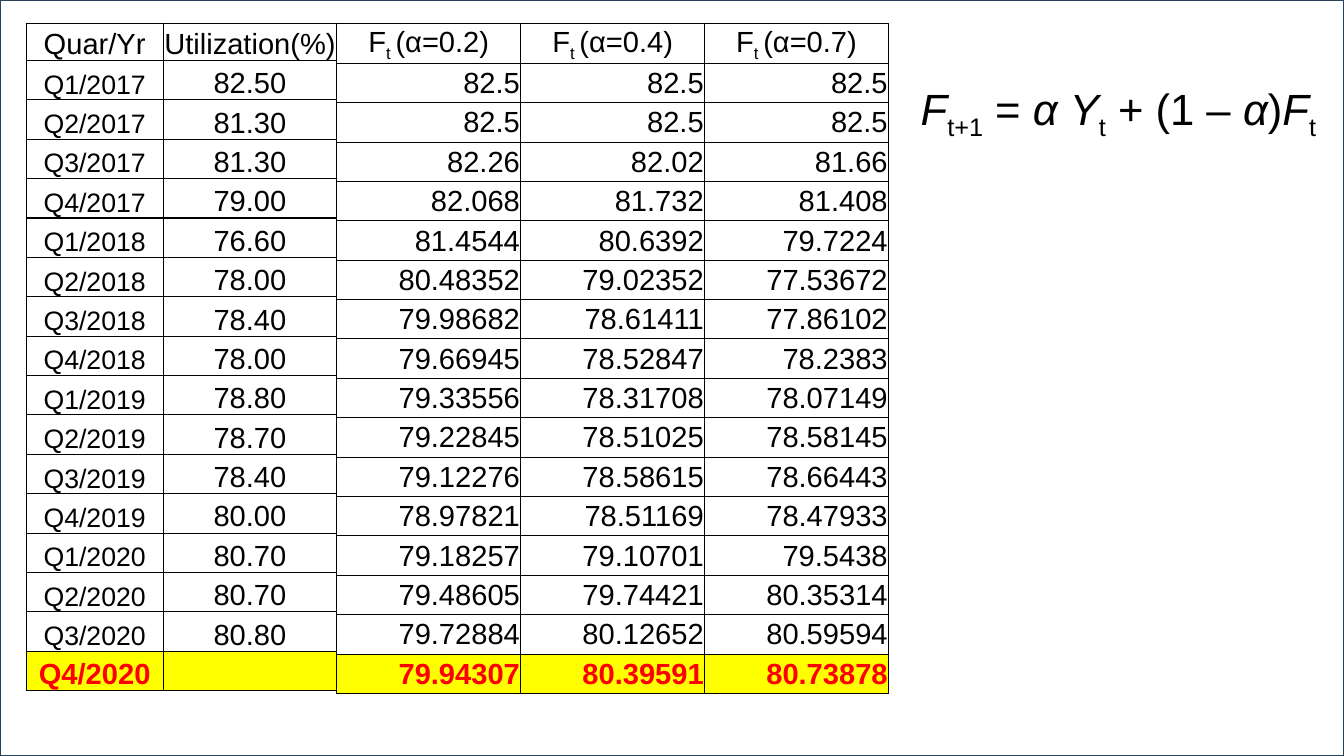
import pptx
import pptx.dml.color
import pptx.enum.shapes
import pptx.enum.text
import pptx.util
import lxml.etree

Pt = pptx.util.Pt
RGBColor = pptx.dml.color.RGBColor
Align = pptx.enum.text.PP_ALIGN
Anchor = pptx.enum.text.MSO_ANCHOR

BLACK = RGBColor(0x00, 0x00, 0x00)
WHITE = RGBColor(0xFF, 0xFF, 0xFF)
RED = RGBColor(0xFF, 0x00, 0x00)
YELLOW = RGBColor(0xFF, 0xFF, 0x00)
NAVY = RGBColor(0x28, 0x44, 0x5D)

WIDTH, HEIGHT = 1108.8, 623.5
TOP, LEFT = 19.4, 21.6
HEAD, ROW = 30.5, 32.5
QUARTERS = 16
LAST = QUARTERS

USAGE = """82.50 81.30 81.30 79.00 76.60 78.00 78.40 78.00 78.80 78.70 78.40
80.00 80.70 80.70 80.80""".split()
FORECASTS = {
    "0.2": """82.5 82.5 82.26 82.068 81.4544 80.48352 79.98682 79.66945 79.33556
        79.22845 79.12276 78.97821 79.18257 79.48605 79.72884 79.94307""",
    "0.4": """82.5 82.5 82.02 81.732 80.6392 79.02352 78.61411 78.52847 78.31708
        78.51025 78.58615 78.51169 79.10701 79.74421 80.12652 80.39591""",
    "0.7": """82.5 82.5 81.66 81.408 79.7224 77.53672 77.86102 78.2383 78.07149
        78.58145 78.66443 78.47933 79.5438 80.35314 80.59594 80.73878""",
}


def write(para, parts, size, color=BLACK, bold=False):
    """Add runs from (text, style) pairs: "i" is italic, "s" is subscript."""
    for text, style in parts:
        run = para.add_run()
        run.text = text
        run.font.name = "Arial"
        run.font.size = Pt(size)
        run.font.color.rgb = color
        run.font.bold = bold
        run.font.italic = "i" in style
        if "s" in style:
            run._r.get_or_add_rPr().set("baseline", "-25000")


def add_grid(left, widths):
    """Add a table with black borders and a yellow last row."""
    frame = slide.shapes.add_table(
        QUARTERS + 1, len(widths), Pt(left), Pt(TOP),
        Pt(sum(widths)), Pt(HEAD + QUARTERS * ROW))
    grid = frame.table
    grid.first_row = grid.horz_banding = False
    for col, width in zip(grid.columns, widths):
        col.width = Pt(width)
    for n, row in enumerate(grid.rows):
        row.height = Pt(ROW if n else HEAD)
        for cell in row.cells:
            cell.margin_left = cell.margin_right = Pt(0)
            cell.margin_top = cell.margin_bottom = Pt(0)
            cell.vertical_anchor = Anchor.BOTTOM
            props = cell._tc.get_or_add_tcPr()
            for side in ("lnL", "lnR", "lnT", "lnB"):
                props.append(pptx.oxml.parse_xml(
                    f'<a:{side} xmlns:a="http://schemas.openxmlformats.org/drawingml/2006/main"'
                    f' w="12700"><a:solidFill><a:srgbClr val="{BLACK}"/></a:solidFill></a:{side}>'))
            if n == LAST:
                cell.fill.solid()
                cell.fill.fore_color.rgb = YELLOW
            else:
                cell.fill.background()
    return grid


deck = pptx.Presentation()
deck.slide_width, deck.slide_height = Pt(WIDTH), Pt(HEIGHT)
slide = deck.slides.add_slide(deck.slide_layouts[6])

# Frame
frame = slide.shapes.add_shape(
    pptx.enum.shapes.MSO_SHAPE.RECTANGLE, 0, 0, Pt(WIDTH), Pt(HEIGHT))
frame.shadow.inherit = False
frame.fill.solid()
frame.fill.fore_color.rgb = WHITE
frame.line.color.rgb = NAVY
frame.line.width = Pt(1)

# Quarters and usage
widths = [113, 143.3]
grid = add_grid(LEFT, widths)
names = [f"Q{n % 4 + 1}/{2017 + n // 4}" for n in range(QUARTERS)]
for c, texts in enumerate([["Quar/Yr"] + names, ["Utilization(%)"] + USAGE]):
    for n, text in enumerate(texts):
        cell = grid.cell(n, c)
        para = cell.text_frame.paragraphs[0]
        para.alignment = Align.CENTER
        plain = c == 0 and 0 < n < LAST
        if not plain:
            para.line_spacing = 1.07
            para.space_after = Pt(8)
        if c and n:
            cell.margin_left = cell.margin_right = cell.margin_top = Pt(0.7)
        write(para, [(text, "")], 22 if plain else 24,
              RED if n == LAST else BLACK, n == LAST)

# One forecast table for each alpha
left, wide = LEFT + sum(widths), 151.7
for k, (alpha, values) in enumerate(FORECASTS.items()):
    grid = add_grid(left + k * wide, [wide])
    para = grid.cell(0, 0).text_frame.paragraphs[0]
    para.alignment = Align.CENTER
    para.line_spacing = 1.07
    para.space_after = Pt(8)
    write(para, [("F", ""), ("t ", "s"), (f"(α={alpha})", "")], 24)
    for n, value in enumerate(values.split(), 1):
        cell = grid.cell(n, 0)
        cell.vertical_anchor = Anchor.MIDDLE
        cell.margin_left = cell.margin_right = cell.margin_top = Pt(0.7)
        para = cell.text_frame.paragraphs[0]
        para.alignment = Align.RIGHT
        write(para, [(value, "")], 24, RED if n == LAST else BLACK, n == LAST)

# Formula
box = slide.shapes.add_textbox(Pt(752.4), Pt(64), Pt(356), Pt(51))
box.text_frame.word_wrap = True
write(box.text_frame.paragraphs[0], [
    ("F", "i"), ("t+1", "s"), (" = ", ""), ("α Y", "i"), ("t", "s"),
    (" + (1 – ", ""), ("α", "i"), (")", ""), ("F", "i"), ("t", "s")], 36)

deck.save("out.pptx")
